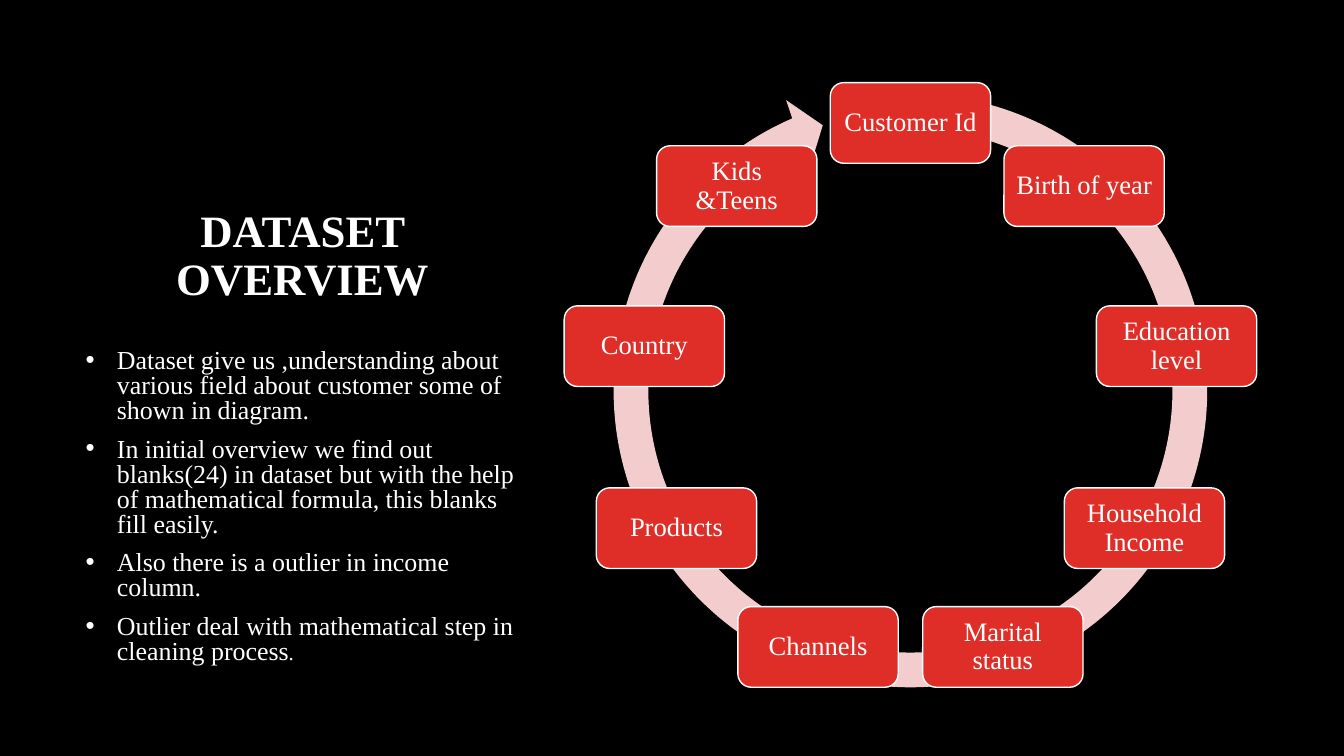
"""Build the dataset overview slide: bulleted notes beside a ring of field names."""
from math import cos, radians, sin
from pptx import Presentation, util as u
from pptx.dml.color import RGBColor
from pptx.enum import shapes, text

BLACK = RGBColor(0x00, 0x00, 0x00)
WHITE = RGBColor(0xFF, 0xFF, 0xFF)
RED = RGBColor(0xDF, 0x2E, 0x28)
PINK = RGBColor(0xF3, 0xCD, 0xCD)

FIELDS = ["Customer Id", "Birth of year", "Education level",
          "Household Income", "Marital status", "Channels", "Products",
          "Country", "Kids &Teens"]
NOTES = [
    ["Dataset give us ,understanding about various field about customer "
     "some of shown in diagram."],
    ["In initial overview we find out blanks(24) in dataset but with the help "
     "of mathematical formula, this blanks fill easily."],
    ["Also there is a outlier in income column."],
    ["Outlier deal with mathematical step in cleaning process", "."],
]


def place(sp, left, top, width, height):
    box = dict(left=left, top=top, width=width, height=height)
    for name, inches in box.items():
        setattr(sp, name, u.Inches(inches))


def style(r, size, bold=False):
    font = dict(name="Times New Roman", size=u.Pt(size), bold=bold)
    for name, value in font.items():
        setattr(r.font, name, value)
    r.font.color.rgb = WHITE


prs = Presentation()
prs.slide_width, prs.slide_height = u.Inches(13.33), u.Inches(7.5)
s = prs.slides.add_slide(prs.slide_layouts[1])
s.background.fill.solid()
s.background.fill.fore_color.rgb = BLACK

title, body = s.placeholders
place(title, 0.75, 1.82, 4.5, 1.26)
tf = title.text_frame
tf.auto_size = text.MSO_AUTO_SIZE.NONE
tf.vertical_anchor = text.MSO_ANCHOR.BOTTOM
p = tf.paragraphs[0]
p.alignment, p.line_spacing = text.PP_ALIGN.CENTER, 0.9
r = p.add_run()
r.text = "DATASET OVERVIEW"
style(r, 32, bold=True)

place(body, 0.75, 3.42, 4.5, 3.38)
tf = body.text_frame
tf.auto_size = text.MSO_AUTO_SIZE.NONE
for i, note in enumerate(NOTES):
    p = tf.add_paragraph() if i else tf.paragraphs[0]
    p.line_spacing, p.space_before = 0.8, u.Pt(10 if i else 0)
    pPr = p._p.get_or_add_pPr()
    pPr.set("marL", str(u.Inches(0.31)))
    pPr.set("indent", str(-u.Inches(0.31)))
    for words, size in zip(note, (18.5, 14.8)):
        r = p.add_run()
        r.text = words
        style(r, size)

CX, CY, RADIUS = 9.03, 3.9, 2.68
RING, BOX_W, BOX_H = 6.27, 1.59, 0.8
ring = s.shapes.add_shape(shapes.MSO_SHAPE.CIRCULAR_ARROW, 0, 0, 0, 0)
place(ring, CX - RING / 2, 0.74, RING, RING)
for i, value in enumerate((0.055, 3.307, 147.727, 168.045, 0.058)):
    ring.adjustments[i] = value
ring.shadow.inherit = False
ring.fill.solid()
ring.fill.fore_color.rgb = PINK
ring.line.fill.background()

for i, field in enumerate(FIELDS):
    angle = radians(i * 360 / len(FIELDS))
    sp = s.shapes.add_shape(shapes.MSO_SHAPE.ROUNDED_RECTANGLE, 0, 0, 0, 0)
    place(sp, CX + RADIUS * sin(angle) - BOX_W / 2,
          CY - RADIUS * cos(angle) - BOX_H / 2, BOX_W, BOX_H)
    sp.shadow.inherit = False
    sp.fill.solid()
    sp.fill.fore_color.rgb = RED
    sp.line.color.rgb, sp.line.width = WHITE, u.Pt(1)
    tf = sp.text_frame
    tf.word_wrap, tf.vertical_anchor = True, text.MSO_ANCHOR.MIDDLE
    for side in ("left", "top", "right", "bottom"):
        setattr(tf, f"margin_{side}", u.Inches(0.08))
    p = tf.paragraphs[0]
    p.alignment, p.line_spacing = text.PP_ALIGN.CENTER, 0.9
    r = p.add_run()
    r.text = field
    style(r, 19)

prs.save("out.pptx")
